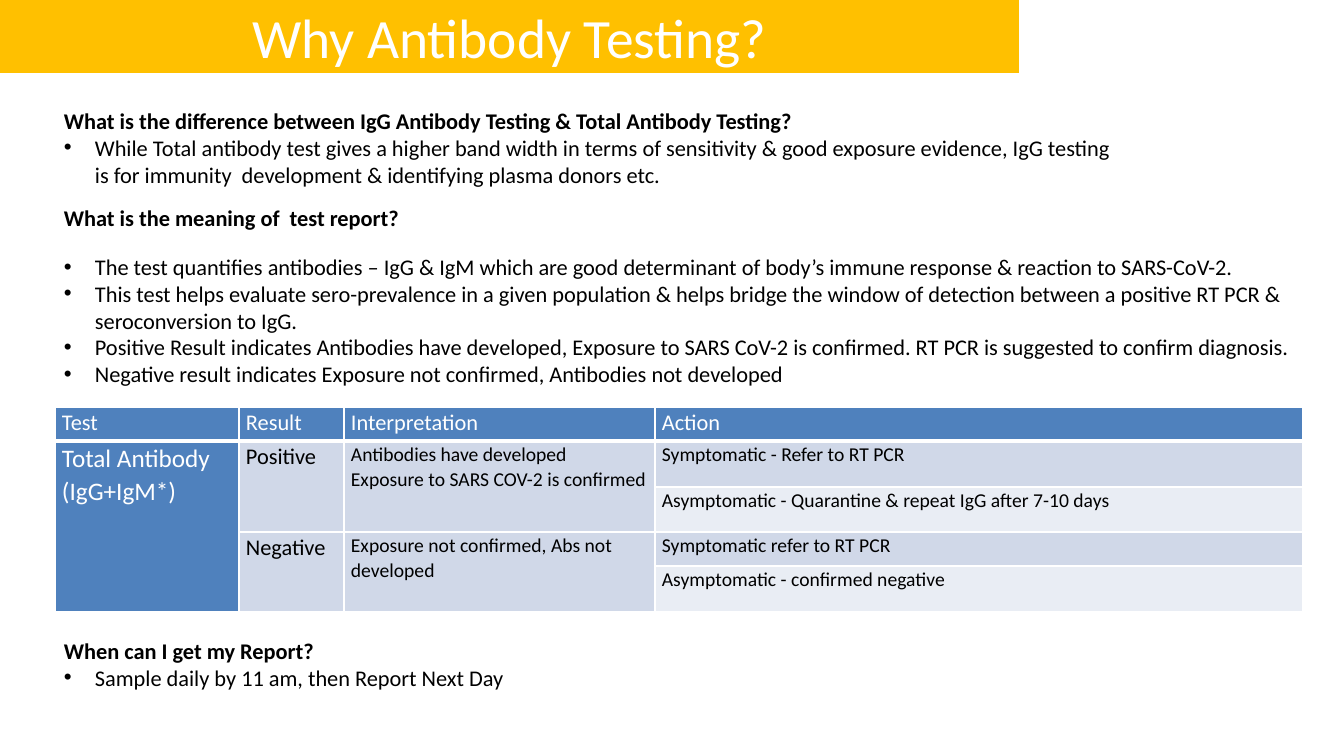
from dataclasses import dataclass

from lxml import etree
from pptx import Presentation
from pptx import util as u
from pptx.dml.color import RGBColor
from pptx.enum import text
from pptx.oxml.ns import qn

FONT = "Calibri"
WHITE, BLACK, AMBER = "FFFFFF", "000000", "FFC000"
BLUE, BAND_DARK, BAND_LIGHT = "4F81BD", "D0D8E8", "E9EDF4"
LEFT = 54
BULLET_INDENT = 31
COL_WIDTHS = (184, 105, 311, 648)
ROW_HEIGHTS = (34, 46, 45, 34, 46)


@dataclass
class Section:
    top: int
    width: int
    height: int
    heading: str = ""
    bullets: tuple[str, ...] = ()


@dataclass
class Entry:
    row: int
    col: int
    wording: str
    size: float = 14
    fill: str = BAND_DARK
    color: str = BLACK
    rows: int = 1


SECTIONS = (
    Section(102, 1072, 122,
            "What is the difference between IgG Antibody Testing & Total Antibody Testing?",
            ("While Total antibody test gives a higher band width in terms of sensitivity & good "
             "exposure evidence, IgG testing is for immunity  development & identifying plasma "
             "donors etc.",)),
    Section(199, 1026, 65, "What is the meaning of  test report?"),
    Section(248, 1271, 179, bullets=(
        "The test quantifies antibodies – IgG & IgM which are good determinant of body’s immune "
        "response & reaction to SARS-CoV-2.",
        "This test helps evaluate sero-prevalence in a given population & helps bridge the window "
        "of detection between a positive RT PCR & seroconversion to IgG.",
        "Positive Result indicates Antibodies have developed, Exposure to SARS CoV-2 is confirmed. "
        "RT PCR is suggested to confirm diagnosis.",
        "Negative result indicates Exposure not confirmed, Antibodies not developed")),
    Section(632, 1164, 95, "When can I get my Report?",
            ("Sample daily by 11 am, then Report Next Day",)),
)

HEADERS = ("Test", "Result", "Interpretation", "Action")
ENTRIES = [Entry(0, col, name, 16, BLUE, WHITE) for col, name in enumerate(HEADERS)] + [
    Entry(1, 0, "Total Antibody (IgG+IgM*)", 18, BLUE, WHITE, rows=4),
    Entry(1, 1, "Positive", 16, rows=2),
    Entry(1, 2, "Antibodies have developed\nExposure to SARS COV-2 is confirmed", rows=2),
    Entry(1, 3, "Symptomatic - Refer to RT PCR"),
    Entry(2, 3, "Asymptomatic - Quarantine & repeat IgG after 7-10 days", fill=BAND_LIGHT),
    Entry(3, 1, "Negative", 16, rows=2),
    Entry(3, 2, "Exposure not confirmed, Abs not developed", rows=2),
    Entry(3, 3, "Symptomatic refer to RT PCR"),
    Entry(4, 3, "Asymptomatic - confirmed negative", fill=BAND_LIGHT),
]


def px(n: int) -> int:
    return round(n * u.Inches(1) / 100.8)


def rgb(value: str) -> RGBColor:
    return RGBColor.from_string(value)


def add_run(p, wording: str, size: float, color: str = BLACK, bold: bool = False) -> None:
    r = p.add_run()
    r.text = wording
    r.font.name = FONT
    r.font.size = u.Pt(size)
    r.font.bold = bold
    r.font.color.rgb = rgb(color)


def add_bullet(p) -> None:
    pPr = p._p.get_or_add_pPr()
    pPr.set("marL", str(px(BULLET_INDENT)))
    pPr.set("indent", str(-px(BULLET_INDENT)))
    etree.SubElement(pPr, qn("a:buFont"), typeface="Arial")
    etree.SubElement(pPr, qn("a:buChar"), char="•")


def format_title(sp, wording: str) -> None:
    sp.left, sp.top, sp.width, sp.height = 0, 0, px(1019), px(73)
    sp.fill.solid()
    sp.fill.fore_color.rgb = rgb(AMBER)
    sp.line.fill.background()
    sp.shadow.inherit = False
    tf = sp.text_frame
    tf.auto_size = text.MSO_AUTO_SIZE.NONE
    tf.word_wrap = True
    tf.vertical_anchor = text.MSO_ANCHOR.MIDDLE
    p = tf.paragraphs[0]
    p.alignment = text.PP_ALIGN.CENTER
    add_run(p, wording, 39.6, WHITE)


def add_section(s, section: Section) -> None:
    sp = s.shapes.add_textbox(px(LEFT), px(section.top), px(section.width), px(section.height))
    tf = sp.text_frame
    tf.word_wrap = True
    lines = [(section.heading, True)] if section.heading else []
    lines += [(bullet, False) for bullet in section.bullets]
    for i, (wording, is_heading) in enumerate(lines):
        p = tf.add_paragraph() if i else tf.paragraphs[0]
        if not is_heading:
            add_bullet(p)
        add_run(p, wording, 16, bold=is_heading)


def add_borders(cell, row: int) -> None:
    tcPr = cell._tc.get_or_add_tcPr()
    for side in "LRTB":
        thick = (row == 0 and side == "B") or (row == 1 and side == "T")
        ln = etree.SubElement(tcPr, qn(f"a:ln{side}"), w=str(u.Pt(3 if thick else 1)))
        fill = etree.SubElement(ln, qn("a:solidFill"))
        etree.SubElement(fill, qn("a:srgbClr"), val=WHITE)


def fill_entry(table, entry: Entry) -> None:
    cell = table.cell(entry.row, entry.col)
    if entry.rows > 1:
        cell.merge(table.cell(entry.row + entry.rows - 1, entry.col))
    for row in range(entry.row, entry.row + entry.rows):
        part = table.cell(row, entry.col)
        add_borders(part, row)
        part.fill.solid()
        part.fill.fore_color.rgb = rgb(entry.fill)
    cell.margin_left = cell.margin_right = px(7)
    cell.margin_top = cell.margin_bottom = 0
    p = cell.text_frame.paragraphs[0]
    p.line_spacing = 1.07
    for i, line in enumerate(entry.wording.split("\n")):
        if i:
            p.add_line_break()
        add_run(p, line, entry.size, entry.color)


def add_results_table(s) -> None:
    frame = s.shapes.add_table(len(ROW_HEIGHTS), len(COL_WIDTHS), px(LEFT + 1), px(407),
                               px(sum(COL_WIDTHS)), px(sum(ROW_HEIGHTS)))
    table = frame.table
    table.horz_banding = False
    for column, width in zip(table.columns, COL_WIDTHS):
        column.width = px(width)
    for row, height in zip(table.rows, ROW_HEIGHTS):
        row.height = px(height)
    for entry in ENTRIES:
        fill_entry(table, entry)


def main() -> None:
    prs = Presentation()
    prs.slide_width, prs.slide_height = px(1344), px(756)
    s = prs.slides.add_slide(prs.slide_layouts[5])
    format_title(s.shapes.title, "Why Antibody Testing?")
    for section in SECTIONS[:-1]:
        add_section(s, section)
    add_results_table(s)
    add_section(s, SECTIONS[-1])
    prs.save("out.pptx")


if __name__ == "__main__":
    main()
